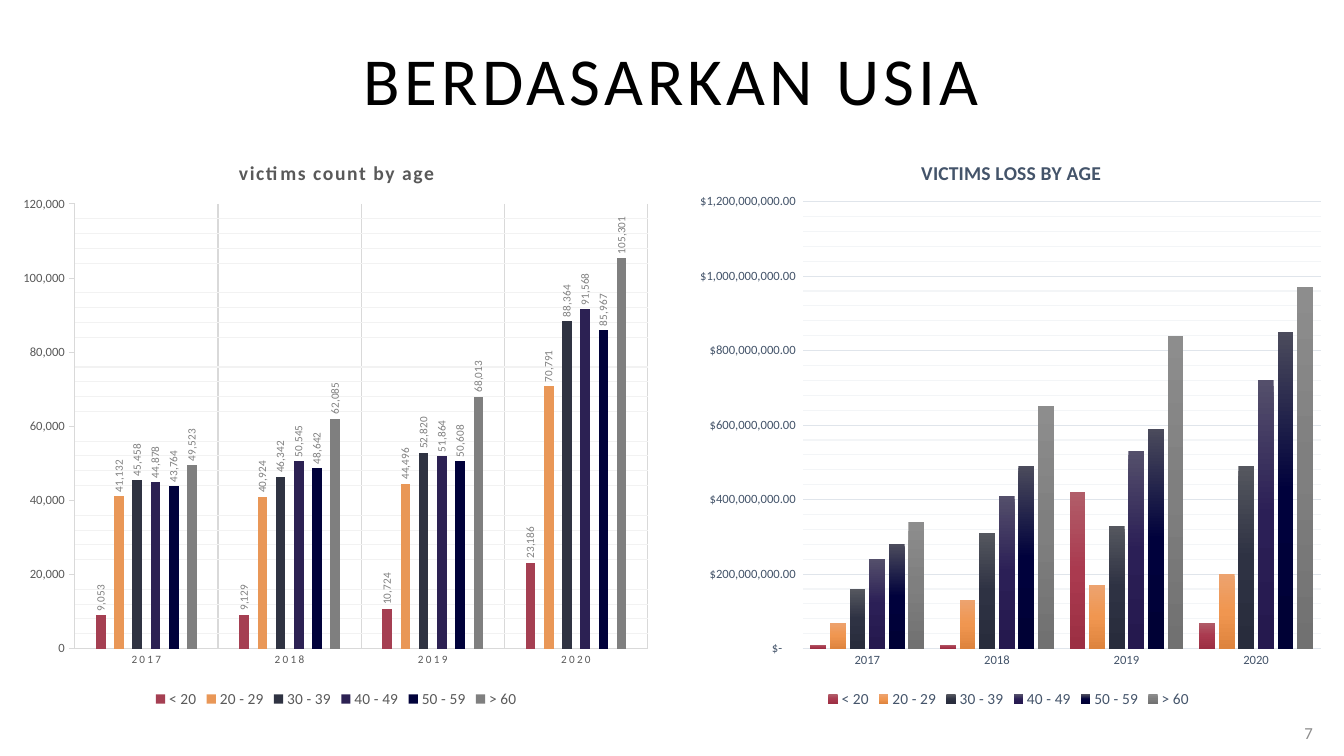
from lxml import etree
from pptx import Presentation
from pptx.chart.data import CategoryChartData
from pptx.dml.color import RGBColor
from pptx.enum.chart import (XL_CHART_TYPE, XL_LABEL_POSITION as LabelPos,
                             XL_LEGEND_POSITION as LegendPos, XL_TICK_MARK as Tick)
from pptx.enum.text import MSO_ANCHOR, PP_ALIGN
from pptx.oxml.ns import qn
from pptx.util import Inches, Pt

# Content
TITLE = "BERDASARKAN USIA"
PAGE = "7"
FONT = "Calibri"
YEARS = ["2017", "2018", "2019", "2020"]
AGES = ["< 20", "20 - 29", "30 - 39", "40 - 49", "50 - 59", "> 60"]
MILLION = 1_000_000

COUNT = dict(
    title="victims count by age", left=0.11, text="595959", line="D9D9D9", minor="F2F2F2",
    gap=444, overlap=-90, top=120_000, step=20_000, minor_step=4_000, fmt="#,##0",
    cat_size=8, title_spacing=100, title_at=(0.345, 0.04), plot_at=(0.098, 0.124, 0.881, 0.766),
    values=[(9053, 9129, 10724, 23186),
            (41132, 40924, 44496, 70791),
            (45458, 46342, 52820, 88364),
            (44878, 50545, 51864, 91568),
            (43764, 48642, 50608, 85967),
            (49523, 62085, 68013, 105301)],
    colors=["A53F52", "E99757", "2F3342", "2C2153", "01023B", "7F7F7F"])
LOSS = dict(
    title="VICTIMS LOSS BY AGE", left=6.78, text="44546A", line="E0E5EB", minor="F3F5F7",
    gap=100, overlap=-24, top=1200 * MILLION, step=200 * MILLION, minor_step=40 * MILLION,
    fmt='_-[$$-409]* #,##0.00_ ;_-[$$-409]* \\-#,##0.00\\ ;_-[$$-409]* "-"??_ ;_-@_ ',
    cat_size=9, title_spacing=0, title_at=(0.36, 0.04), plot_at=(0.183, 0.12, 0.797, 0.77),
    values=[[v * MILLION for v in row] for row in (
        (10, 10, 420, 70),
        (70, 130, 170, 200),
        (160, 310, 330, 490),
        (240, 410, 530, 720),
        (280, 490, 590, 850),
        (340, 650, 840, 970))],
    colors=[("B15D69", "AA3A4F", "9C2F43"), ("EDA36F", "F09650", "DE843E"),
            ("55575F", "2E3243", "282C3C"), ("544F6B", "2B1F56", "25194E"),
            ("4B4B5C", "00013C", "000135"), ("8D8D8D", "7F7F7F", "717171")])


def rgb(value):
    return RGBColor.from_string(value)


def style(font, size, color, bold=False):
    font.name, font.size, font.bold = FONT, Pt(size), bold
    font.color.rgb = rgb(color)


def sub(parent, tag, **attrs):
    return etree.SubElement(parent, qn(tag), attrs)


def place(element, index, box, inner=False):
    """Fix a chart part at fractions of the chart area."""
    for old in element.findall(qn("c:layout")):
        element.remove(old)
    layout = etree.Element(qn("c:layout"))
    manual = sub(layout, "c:manualLayout")
    if inner:
        sub(manual, "c:layoutTarget", val="inner")
    for name in ("xMode", "yMode"):
        sub(manual, f"c:{name}", val="edge")
    for name, value in zip("xywh", box):
        sub(manual, f"c:{name}", val=str(value))
    element.insert(index, layout)


def paint_gradient(series, stops):
    fill = series.format.fill
    fill.gradient()
    fill.gradient_angle = 270
    stop_list = next(series._element.iter(qn("a:gsLst")))
    for old in list(stop_list):
        stop_list.remove(old)
    for i, color in enumerate(stops):
        sub(sub(stop_list, "a:gs", pos=str(i * 50000)), "a:srgbClr", val=color)


def paint_minor_grid(axis, color):
    axis.has_minor_gridlines = True
    grid = axis._element.find(qn("c:minorGridlines"))
    line = sub(sub(grid, "c:spPr"), "a:ln", w=str(Pt(0.75)))
    sub(sub(line, "a:solidFill"), "a:srgbClr", val=color)


def paint_line(line, color):
    line.color.rgb = rgb(color)
    line.width = Pt(0.75)


def label_bars(series):
    labels = series.data_labels
    labels.show_value = True
    labels.position = LabelPos.OUTSIDE_END
    labels.number_format, labels.number_format_is_linked = "#,##0", False
    style(labels.font, 8, "808080")
    body = next(labels._element.iter(qn("a:bodyPr")))
    body.set("rot", "-5400000")
    body.set("vert", "horz")


def add_age_chart(slide, c):
    data = CategoryChartData()
    data.categories = YEARS
    for age, values in zip(AGES, c["values"]):
        data.add_series(age, values)
    chart = slide.shapes.add_chart(
        XL_CHART_TYPE.COLUMN_CLUSTERED, Inches(c["left"]), Inches(1.31),
        Inches(6.45), Inches(5.76), data).chart
    style(chart.font, 10, "000000")

    # Chart title and legend
    chart.has_title = True
    p = chart.chart_title.text_frame.paragraphs[0]
    r = p.add_run()
    r.text = c["title"]
    style(r.font, 14, c["text"], True)
    r.font._element.set("spc", str(c["title_spacing"]))
    chart.chart_title.include_in_layout = False
    place(chart.chart_title._element, 1, c["title_at"])
    chart.has_legend = True
    chart.legend.position = LegendPos.BOTTOM
    chart.legend.include_in_layout = False
    style(chart.legend.font, 11, c["text"])

    # Bars
    plot = chart.plots[0]
    plot.vary_by_categories = False
    plot.gap_width, plot.overlap = c["gap"], c["overlap"]
    for series, color in zip(plot.series, c["colors"]):
        series.invert_if_negative = False
        if isinstance(color, tuple):
            paint_gradient(series, color)
        else:
            series.format.fill.solid()
            series.format.fill.fore_color.rgb = rgb(color)

    # Axes
    cat, val = chart.category_axis, chart.value_axis
    for axis, size in ((cat, c["cat_size"]), (val, 9)):
        axis.major_tick_mark = axis.minor_tick_mark = Tick.NONE
        style(axis.tick_labels.font, size, c["text"])
    paint_line(cat.format.line, c["line"])
    val.minimum_scale, val.maximum_scale = 0, c["top"]
    val.major_unit, val.minor_unit = c["step"], c["minor_step"]
    val.tick_labels.number_format = c["fmt"]
    val.tick_labels.number_format_is_linked = False
    paint_minor_grid(val, c["minor"])
    place(chart._chartSpace.chart.plotArea, 0, c["plot_at"], inner=True)
    return chart


prs = Presentation()
prs.slide_width, prs.slide_height = Inches(13.33), Inches(7.5)
slide = prs.slides.add_slide(prs.slide_layouts[5])

# Title
title = slide.shapes.title
title.left, title.top, title.width, title.height = map(Inches, (0.65, 0.33, 12.03, 0.9))
title.text_frame.vertical_anchor = MSO_ANCHOR.MIDDLE
p = title.text_frame.paragraphs[0]
p.alignment = PP_ALIGN.CENTER
r = p.add_run()
r.text = TITLE
style(r.font, 48, "000000")
r.font._element.set("spc", "300")

# Victim count: value labels, year dividers and a ticked value axis
count = add_age_chart(slide, COUNT)
for series in count.plots[0].series:
    label_bars(series)
years, amounts = count.category_axis, count.value_axis
years.has_major_gridlines = True
paint_line(years.major_gridlines.format.line, COUNT["line"])
years.tick_labels.font._element.set("spc", "150")
amounts.has_major_gridlines = False
amounts.major_tick_mark = Tick.OUTSIDE
paint_line(amounts.format.line, COUNT["line"])

# Victim loss: horizontal grid, no value axis line
loss = add_age_chart(slide, LOSS)
paint_line(loss.value_axis.major_gridlines.format.line, LOSS["line"])
loss.value_axis.format.line.fill.background()

# Page number
tf = slide.shapes.add_textbox(*map(Inches, (12.63, 7.07, 0.49, 0.4))).text_frame
tf.word_wrap = True
tf.vertical_anchor = MSO_ANCHOR.MIDDLE
p = tf.paragraphs[0]
p.text = PAGE
p.alignment = PP_ALIGN.RIGHT
style(p.font, 12, "8C8C8C")

prs.save("out.pptx")
